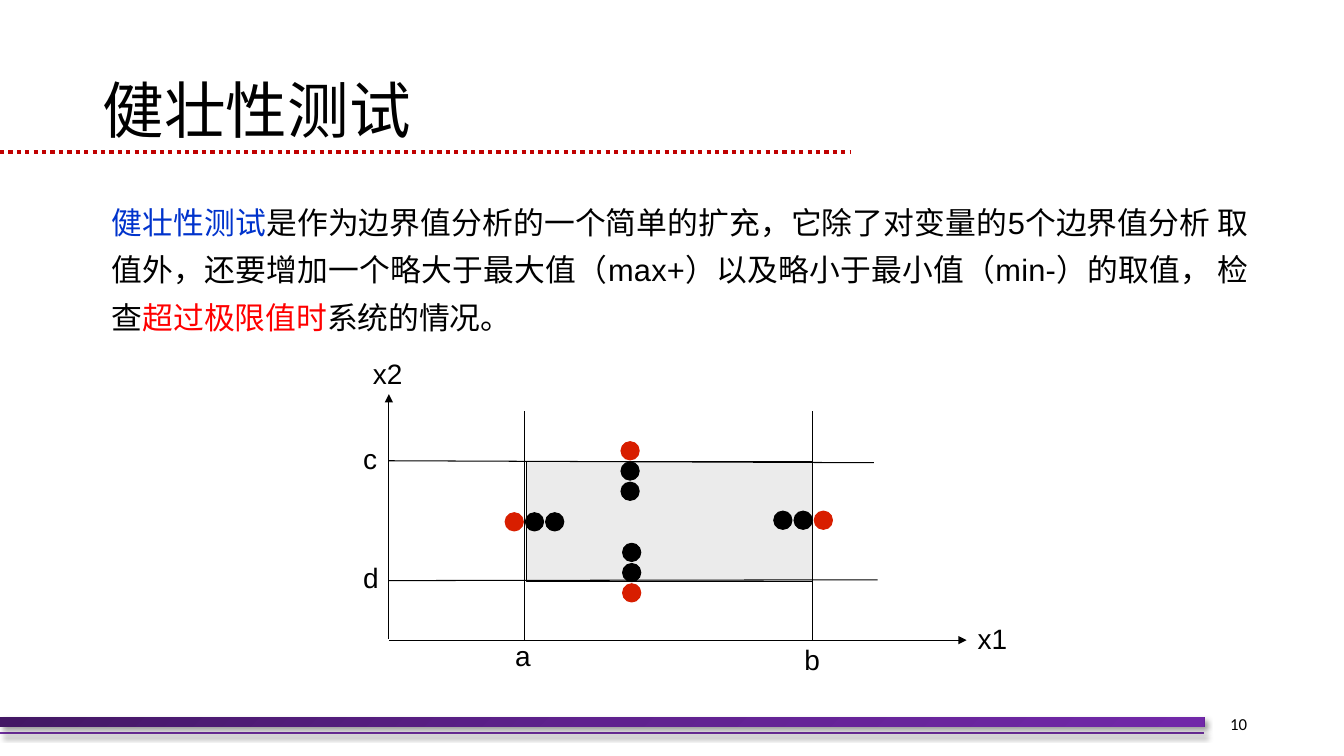
from lxml import etree
from pptx import Presentation
from pptx.dml.color import RGBColor
from pptx.enum.dml import MSO_LINE
from pptx.enum.shapes import MSO_CONNECTOR, MSO_SHAPE
from pptx.enum.text import MSO_ANCHOR, PP_ALIGN
from pptx.oxml import parse_xml
from pptx.oxml.ns import nsdecls, qn
from pptx.util import Cm, Pt

STRAIGHT = MSO_CONNECTOR.STRAIGHT
RECT, OVAL = MSO_SHAPE.RECTANGLE, MSO_SHAPE.OVAL
TOP, MIDDLE = MSO_ANCHOR.TOP, MSO_ANCHOR.MIDDLE
LEFT, RIGHT = PP_ALIGN.LEFT, PP_ALIGN.RIGHT
DOTTED = MSO_LINE.ROUND_DOT

COLORS = {
    "black": "000000", "blue": "0033CC", "red": "FF0000", "dot": "D81E00",
    "rule": "C00000", "area": "EBEBEB", "purple": "7030A0",
}
BAR_STOPS = [(0, "431764"), (50, "5F218E"), (100, "7128A8")]
CJK, LATIN, NUMBER = "Noto Sans CJK SC", "Arial", "Calibri"
LABEL_INSETS = (0.03, 0.06, 0, 0)


def rgb(name):
    return RGBColor.from_string(COLORS[name])


def add_run(p, text, size=22, color="black", font=CJK, spacing=0):
    r = p.add_run()
    r.text = text
    r.font.size = Pt(size)
    r.font.color.rgb = rgb(color)
    r.font.name = font
    rPr = r._r.get_or_add_rPr()
    if spacing:
        rPr.set("spc", str(spacing))
    etree.SubElement(rPr, qn("a:ea")).set("typeface", CJK)


class Deck:
    def __init__(self, width, height):
        self.prs = Presentation()
        self.prs.slide_width, self.prs.slide_height = Cm(width), Cm(height)
        self.s = self.prs.slides.add_slide(self.prs.slide_layouts[6])

    def text(self, box, runs, insets=(0.25, 0.13, 0.25, 0.13), anchor=TOP,
             align=LEFT, line_spacing=1.0):
        sp = self.s.shapes.add_textbox(*map(Cm, box))
        tf = sp.text_frame
        tf.word_wrap = True
        tf.vertical_anchor = anchor
        (tf.margin_left, tf.margin_top,
         tf.margin_right, tf.margin_bottom) = map(Cm, insets)
        p = tf.paragraphs[0]
        p.alignment = align
        p.line_spacing = line_spacing
        for text, style in runs:
            add_run(p, text, **style)

    def label(self, text, x, y):
        width = 0.45 * len(text)
        self.text((x, y, width, 0.91), [(text, {"size": 20, "font": LATIN})],
                  insets=LABEL_INSETS)

    def line(self, x1, y1, x2, y2, color="black", width=0.75, dash=None,
             arrow=False, shadow=False):
        sp = self.s.shapes.add_connector(STRAIGHT, *map(Cm, (x1, y1, x2, y2)))
        sp.line.color.rgb = rgb(color)
        sp.line.width = Pt(width)
        if dash:
            sp.line.dash_style = dash
        if arrow:
            ln = sp.line._get_or_add_ln()
            etree.SubElement(ln, qn("a:tailEnd")).set("type", "triangle")
        etree.SubElement(sp._element.spPr, qn("a:effectLst"))
        if shadow:
            self.shadow(sp)

    def shape(self, kind, box, fill, line=None):
        sp = self.s.shapes.add_shape(kind, *map(Cm, box))
        sp.shadow.inherit = False
        sp.fill.solid()
        sp.fill.fore_color.rgb = rgb(fill)
        if line:
            sp.line.color.rgb = rgb(line)
            sp.line.width = Pt(0.75)
        else:
            sp.line.fill.background()
        return sp

    def gradient_bar(self, box, stops):
        sp = self.shape(RECT, box, "purple")
        gs = "".join(f'<a:gs pos="{pos * 1000}"><a:srgbClr val="{color}"/></a:gs>'
                     for pos, color in stops)
        grad = parse_xml(f'<a:gradFill {nsdecls("a")} rotWithShape="1">'
                         f'<a:gsLst>{gs}</a:gsLst>'
                         '<a:lin ang="2700000" scaled="0"/></a:gradFill>')
        spPr = sp._element.spPr
        spPr.replace(spPr.find(qn("a:solidFill")), grad)
        self.shadow(sp)

    def shadow(self, sp):
        effects = sp._element.spPr.find(qn("a:effectLst"))
        effects.append(parse_xml(
            f'<a:outerShdw {nsdecls("a")} blurRad="{Pt(4)}" dist="{Pt(3)}" '
            'dir="2700000" algn="tl" rotWithShape="0"><a:srgbClr val="000000">'
            '<a:alpha val="40000"/></a:srgbClr></a:outerShdw>'))

    def dots(self, x, y, dx, dy):
        for i, color in enumerate(("dot", "black", "black")):
            box = (x + i * dx, y + i * dy, 0.46, 0.46)
            self.shape(OVAL, box, color, line=color)


def main():
    deck = Deck(33.87, 19.05)

    deck.line(0, 18.47, 30.35, 18.47, color="purple", width=1.5, shadow=True)
    deck.gradient_bar((0, 18.08, 30.35, 0.23), BAR_STOPS)
    deck.line(0, 3.84, 21.44, 3.84, color="rule", width=3, dash=DOTTED)

    deck.text((2.34, 1.02, 29.21, 3.68), [("健壮性测试", {"size": 44})],
              anchor=MIDDLE, line_spacing=0.9)
    deck.text((2.79, 4.8, 28.68, 3.8), [
        ("健壮性测试", {"color": "blue", "spacing": 10}),
        ("是作为边界值分析的一个简单的扩充，它除了对变量的", {"spacing": 10}),
        ("5", {"font": LATIN, "spacing": 10}),
        ("个边界值分析 ", {"spacing": 10}),
        ("取值外，还要增加一个略大于最大值（", {"spacing": 20}),
        ("max+", {"font": LATIN, "spacing": 20}),
        ("）以及略小于最小值（", {"spacing": 20}),
        ("min-", {"font": LATIN, "spacing": 20}),
        ("）的取", {"spacing": 20}),
        ("值， 检查", {}),
        ("超过极限值时", {"color": "red"}),
        ("系统的情况。", {}),
    ], insets=LABEL_INSETS, line_spacing=1.29)

    deck.shape(RECT, (13.26, 11.63, 7.21, 3.02), "area", line="black")
    deck.line(9.8, 16.1, 9.8, 9.93, arrow=True)
    deck.line(9.8, 16.13, 24.36, 16.13, arrow=True)
    deck.line(9.8, 11.61, 22.02, 11.66)
    deck.line(9.8, 14.63, 22.12, 14.61)
    for x in (13.23, 20.47):
        deck.line(x, 10.36, x, 16.13)

    for text, x, y in (("x1", 24.61, 15.6), ("x2", 9.37, 8.92),
                       ("a", 12.95, 16.03), ("b", 20.24, 16.13),
                       ("c", 9.12, 11.07), ("d", 9.12, 14.07)):
        deck.label(text, x, y)

    step = 0.51
    for x, y, dx, dy in ((15.65, 11.13, 0, step), (15.69, 14.71, 0, -step),
                         (12.73, 12.92, step, 0), (20.52, 12.88, -step, 0)):
        deck.dots(x, y, dx, dy)

    deck.text((28.91, 17.73, 2.77, 1.02), [("10", {"size": 12, "font": NUMBER})],
              anchor=MIDDLE, align=RIGHT)
    deck.prs.save("out.pptx")


if __name__ == "__main__":
    main()
